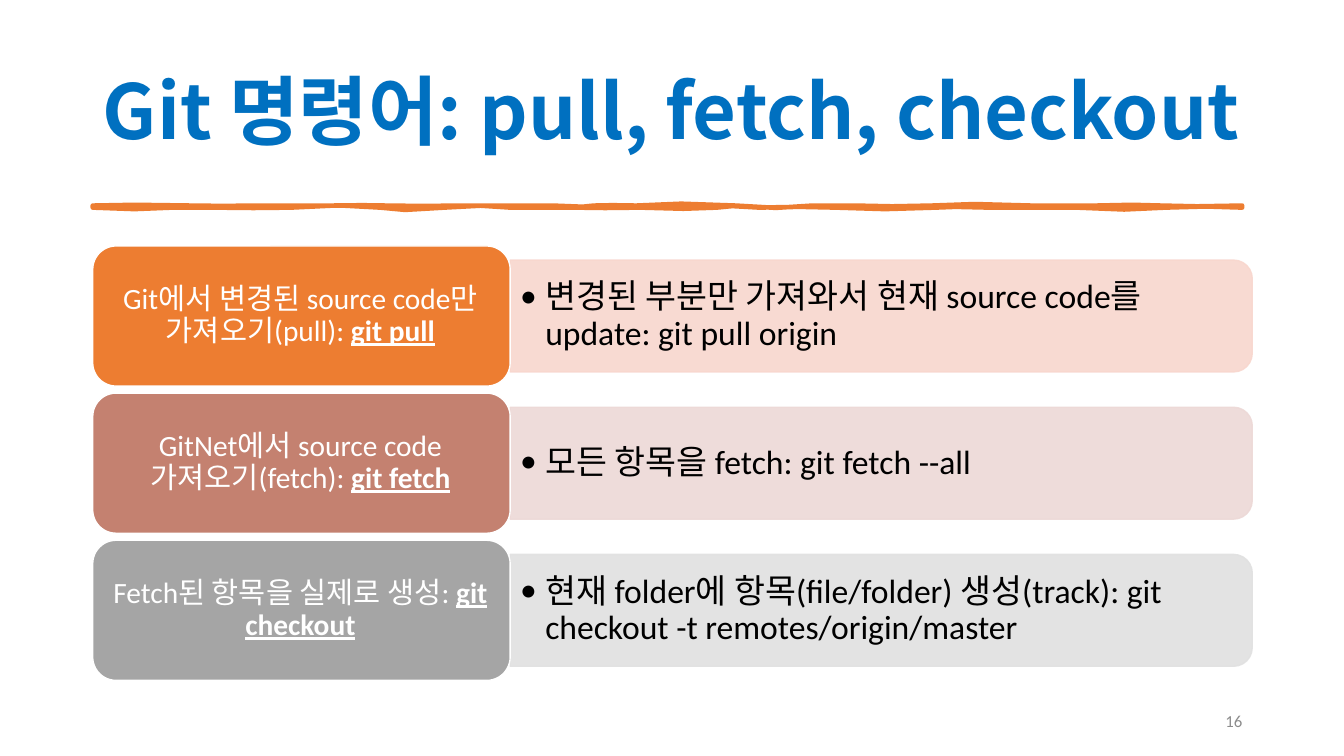
from lxml import etree
from pptx import Presentation
from pptx import util as u
from pptx.dml.color import RGBColor
from pptx.enum import shapes, text
from pptx.oxml.ns import qn

PX = 9144  # 100 px to the inch
LATIN, KOREAN = "Calibri", "Noto Sans CJK KR"

TITLE = "Git 명령어: pull, fetch, checkout"
PAGE = "16"
# label, command, explanation, label colour, bar colour
COMMANDS = [
    ("Git에서 변경된 source code만 가져오기(pull): ", "git pull",
     "변경된 부분만 가져와서 현재 source code를 update: git pull origin", "ED7D31", "F8D7CE"),
    ("GitNet에서 source code 가져오기(fetch): ", "git fetch",
     "모든 항목을 fetch: git fetch --all", "C48170", "EDD9D7"),
    ("Fetch된 항목을 실제로 생성: ", "git checkout",
     "현재 folder에 항목(file/folder) 생성(track): git checkout -t remotes/origin/master",
     "A5A5A5", "E1E1E1"),
]
# Brush stroke: start point, then two control points and an end point per curve
STROKE_START = (92, 204)
STROKE = [
    (119, 204, 144, 202, 190, 204), (237, 206, 220, 203, 244, 204),
    (267, 205, 303, 203, 331, 204), (360, 205, 359, 202, 384, 204),
    (410, 206, 423, 203, 460, 204), (498, 205, 514, 203, 548, 204),
    (581, 205, 581, 206, 589, 204), (598, 202, 615, 205, 631, 204),
    (647, 203, 701, 200, 730, 204), (759, 208, 781, 206, 806, 204),
    (831, 202, 827, 206, 848, 204), (868, 202, 901, 208, 924, 204),
    (947, 200, 982, 204, 1023, 204), (1063, 204, 1063, 204, 1087, 204),
    (1112, 204, 1136, 202, 1152, 204), (1168, 206, 1203, 204, 1232, 204),
    (1232, 205, 1232, 205, 1232, 206), (1205, 206, 1189, 203, 1156, 206),
    (1122, 209, 1110, 208, 1068, 206), (1027, 204, 1023, 208, 981, 206),
    (939, 204, 952, 206, 928, 206), (904, 206, 851, 210, 829, 206),
    (806, 202, 782, 208, 753, 206), (724, 204, 725, 204, 711, 206),
    (698, 208, 661, 207, 635, 206), (609, 205, 590, 208, 570, 206),
    (551, 204, 528, 208, 506, 206), (483, 204, 473, 203, 441, 206),
    (409, 209, 390, 209, 377, 206), (363, 203, 310, 203, 289, 206),
    (268, 209, 235, 204, 213, 206), (192, 208, 189, 204, 171, 206),
    (154, 208, 114, 208, 92, 206), (92, 205, 92, 205, 92, 204),
]
ROW_TOP, ROW_STEP = 244, 146
LABEL_X, LABEL_W, LABEL_H = 92, 414, 139
BAR_W, BAR_H = 736, 111


def px(*values):
    return [u.Emu(round(v * PX)) for v in values]


def rgb(code):
    return RGBColor.from_string(code)


def paint(sp, fill, line, width, alpha=None):
    """Set fill and outline, with opacity in percent, and drop the shadow."""
    sp.shadow.inherit = False
    sp.fill.solid()
    sp.fill.fore_color.rgb = rgb(fill)
    sp.line.color.rgb = rgb(line)
    sp.line.width = u.Pt(width)
    if alpha:
        for color in sp._element.spPr.iter(qn("a:srgbClr")):
            etree.SubElement(color, qn("a:alpha"), val=str(alpha * 1000))


def write(sp, runs, size, color, font=LATIN, align="LEFT", spacing=0.9, after=0,
          insets=(10, 5), bullet=False):
    """Fill a shape with one paragraph; runs are (text, bold, underline)."""
    tf = sp.text_frame
    tf.word_wrap = True
    tf.auto_size = text.MSO_AUTO_SIZE.NONE
    tf.vertical_anchor = text.MSO_ANCHOR.MIDDLE
    tf.margin_left = tf.margin_right = px(insets[0])[0]
    tf.margin_top = tf.margin_bottom = px(insets[1])[0]
    p = tf.paragraphs[0]
    p.alignment = text.PP_ALIGN[align]
    p.line_spacing = spacing
    p.space_after = u.Pt(after)
    if bullet:
        pPr = p._p.get_or_add_pPr()
        indent = px(25)[0]
        pPr.set("marL", str(indent))
        pPr.set("indent", str(-indent))
        etree.SubElement(pPr, qn("a:buFont"), typeface=LATIN)
        etree.SubElement(pPr, qn("a:buChar"), char="•")
    for words, bold, underline in runs:
        r = p.add_run()
        r.text = words
        r.font.name, r.font.size = font, u.Pt(size)
        r.font.color.rgb = rgb(color)
        r.font.bold, r.font.underline = bold, underline
        if font == KOREAN:
            r.font._element.find(qn("a:latin")).addnext(
                etree.Element(qn("a:ea"), typeface=KOREAN))


def flatten(start, curves, steps=2):
    """Turn cubic curves into points."""
    points = []
    x0, y0 = start
    for x1, y1, x2, y2, x3, y3 in curves:
        for i in range(1, steps + 1):
            t = i / steps
            a, b, c, d = (1 - t) ** 3, 3 * t * (1 - t) ** 2, 3 * t * t * (1 - t), t ** 3
            points.append(px(a * x0 + b * x1 + c * x2 + d * x3,
                             a * y0 + b * y1 + c * y2 + d * y3))
        x0, y0 = x3, y3
    return points


def add_command(s, top, label, command, explanation, label_color, bar_color):
    mid = top + LABEL_H / 2
    bar_x = LABEL_X + LABEL_W
    # The bar is an upright shape turned a quarter, so its rounded end faces right
    bar = s.shapes.add_shape(
        shapes.MSO_SHAPE.ROUND_2_SAME_RECTANGLE,
        *px(bar_x + (BAR_W - BAR_H) / 2, mid - BAR_W / 2, BAR_H, BAR_W))
    bar.rotation = 90
    paint(bar, bar_color, bar_color, 1, alpha=90)
    write(s.shapes.add_textbox(*px(bar_x, mid - 50, 731, 100)),
          [(explanation, False, False)], 24, "000000", bullet=True)

    box = s.shapes.add_shape(shapes.MSO_SHAPE.ROUNDED_RECTANGLE,
                             *px(LABEL_X, top, LABEL_W, LABEL_H))
    paint(box, label_color, "FFFFFF", 1)
    write(s.shapes.add_textbox(*px(LABEL_X + 6, mid - 63, 400, 126)),
          [(label, False, False), (command, True, True)], 21, "FFFFFF",
          align="CENTER", insets=(9, 4))


def main():
    prs = Presentation()
    prs.slide_width, prs.slide_height = u.Inches(13.33), u.Inches(7.5)
    s = prs.slides.add_slide(prs.slide_layouts[5])

    title = s.shapes.title
    title.left, title.top, title.width, title.height = px(92, 40, 1150, 145)
    write(title, [(TITLE, True, False)], 54, "0070C0", font=KOREAN, spacing=0.75)
    title.text_frame.margin_top = px(16)[0]

    pen = s.shapes.build_freeform(*px(*STROKE_START))
    pen.add_line_segments(flatten(STROKE_START, STROKE))
    paint(pen.convert_to_shape(), "ED7D31", "ED7D31", 3.25)

    write(s.shapes.add_textbox(*px(942, 695, 300, 40)), [(PAGE, False, False)],
          12, "8C8C8C", align="RIGHT", spacing=1, after=6)

    for i, row in enumerate(COMMANDS):
        add_command(s, ROW_TOP + i * ROW_STEP, *row)
    prs.save("out.pptx")


if __name__ == "__main__":
    main()
